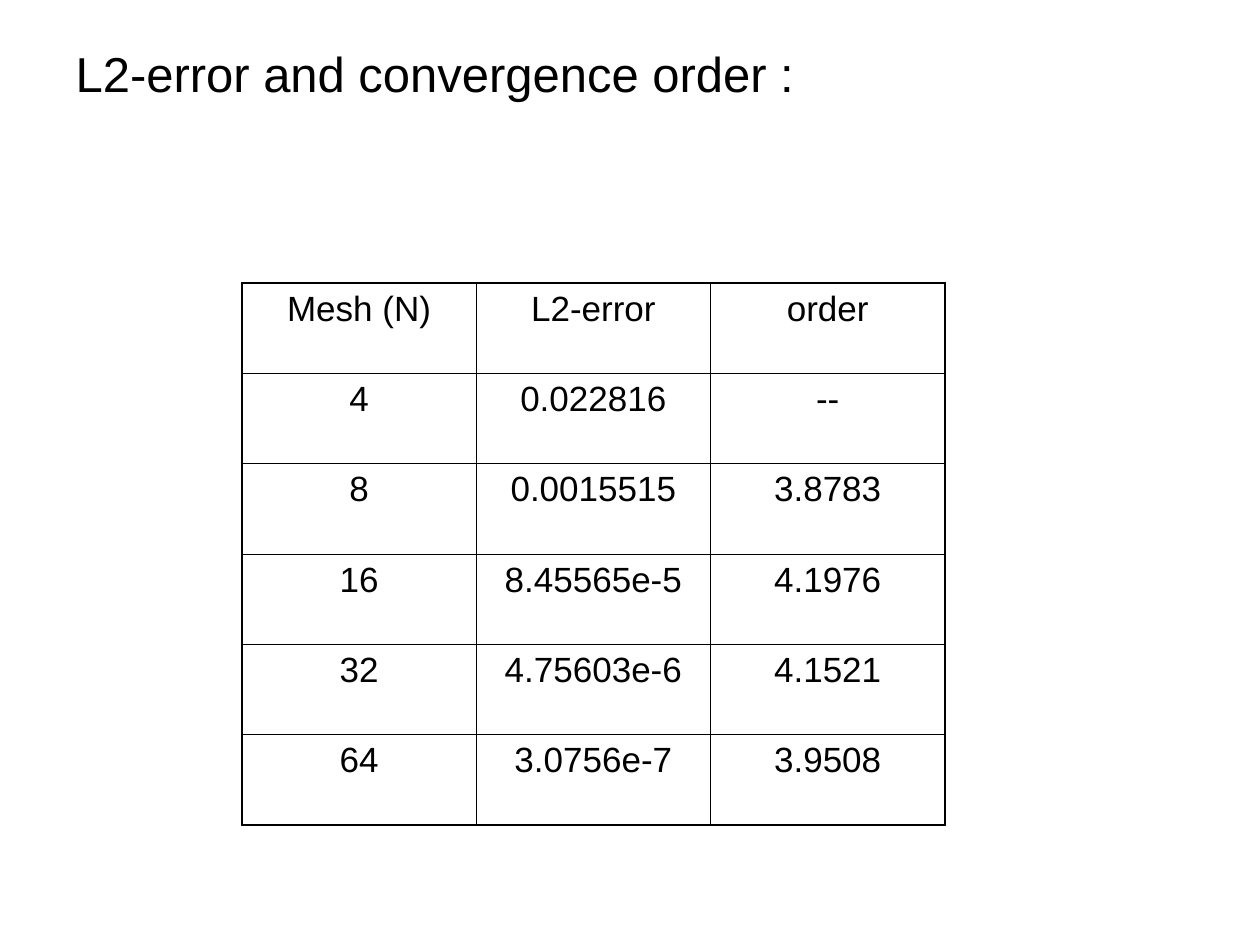
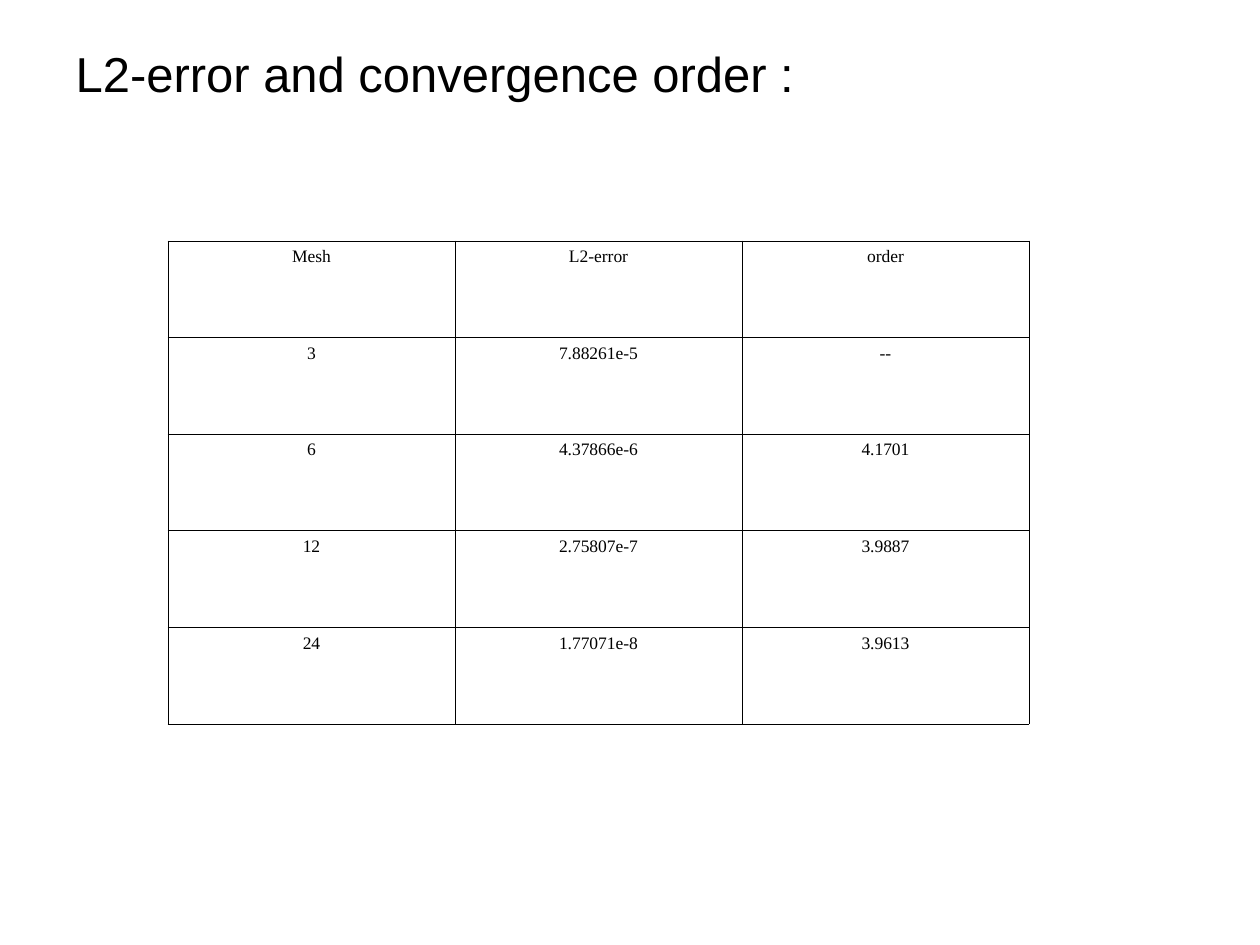
import pptx
import pptx.dml.color
import pptx.enum.text
import pptx.oxml.ns
import pptx.util
from lxml import etree

INK = "000000"
THIN, THICK = 0.45, 1.08
TITLE = "L2-error and convergence order :"


def px(count):
    return round(count * 914400 / 126)


def write(para, text, face, size, align):
    """Add one styled run to an empty paragraph."""
    para.alignment = align
    run = para.add_run()
    run.text = text
    run.font.name = face
    run.font.size = pptx.util.Pt(size)
    run.font.color.rgb = pptx.dml.color.RGBColor.from_string(INK)


# Each table: box in px, font, text size, width of outer border, rows
tables = [
    ((242, 283, 703, 542), "Arial", 20, THICK, [
        ("Mesh (N)", "L2-error", "order"),
        ("4", "0.022816", "--"),
        ("8", "0.0015515", "3.8783"),
        ("16", "8.45565e-5", "4.1976"),
        ("32", "4.75603e-6", "4.1521"),
        ("64", "3.0756e-7", "3.9508"),
    ]),
    ((168, 241, 861, 483), "Times New Roman", 10, THIN, [
        ("Mesh", "L2-error", "order"),
        ("3", "7.88261e-5", "--"),
        ("6", "4.37866e-6", "4.1701"),
        ("12", "2.75807e-7", "3.9887"),
        ("24", "1.77071e-8", "3.9613"),
    ]),
]

align = pptx.enum.text.PP_ALIGN
qn = pptx.oxml.ns.qn
deck = pptx.Presentation()
deck.slide_width, deck.slide_height = px(1260), px(945)

for box, face, size, outer, rows in tables:
    slide = deck.slides.add_slide(deck.slide_layouts[5])

    title = slide.shapes.title
    title.left, title.top, title.width, title.height = map(px, (63, 32, 1144, 813))
    frame = title.text_frame
    frame.word_wrap = True
    frame.auto_size = pptx.enum.text.MSO_AUTO_SIZE.NONE
    frame.vertical_anchor = pptx.enum.text.MSO_ANCHOR.TOP
    frame.margin_top = px(11)
    write(frame.paragraphs[0], TITLE, "Arial", 28, align.LEFT)

    last_row, last_col = len(rows) - 1, len(rows[0]) - 1
    grid = slide.shapes.add_table(len(rows), len(rows[0]), *map(px, box)).table
    grid.first_row = grid.horz_banding = False

    for r, row in enumerate(rows):
        for c, text in enumerate(row):
            cell = grid.cell(r, c)
            write(cell.text_frame.paragraphs[0], text, face, size, align.CENTER)
            props = cell._tc.get_or_add_tcPr()
            edges = {"L": c == 0, "R": c == last_col, "T": r == 0, "B": r == last_row}
            for side, rim in edges.items():
                width = pptx.util.Pt(outer if rim else THIN)
                line = etree.SubElement(props, qn("a:ln" + side), w=str(width))
                fill = etree.SubElement(line, qn("a:solidFill"))
                etree.SubElement(fill, qn("a:srgbClr"), val=INK)
            cell.fill.background()

deck.save("out.pptx")
